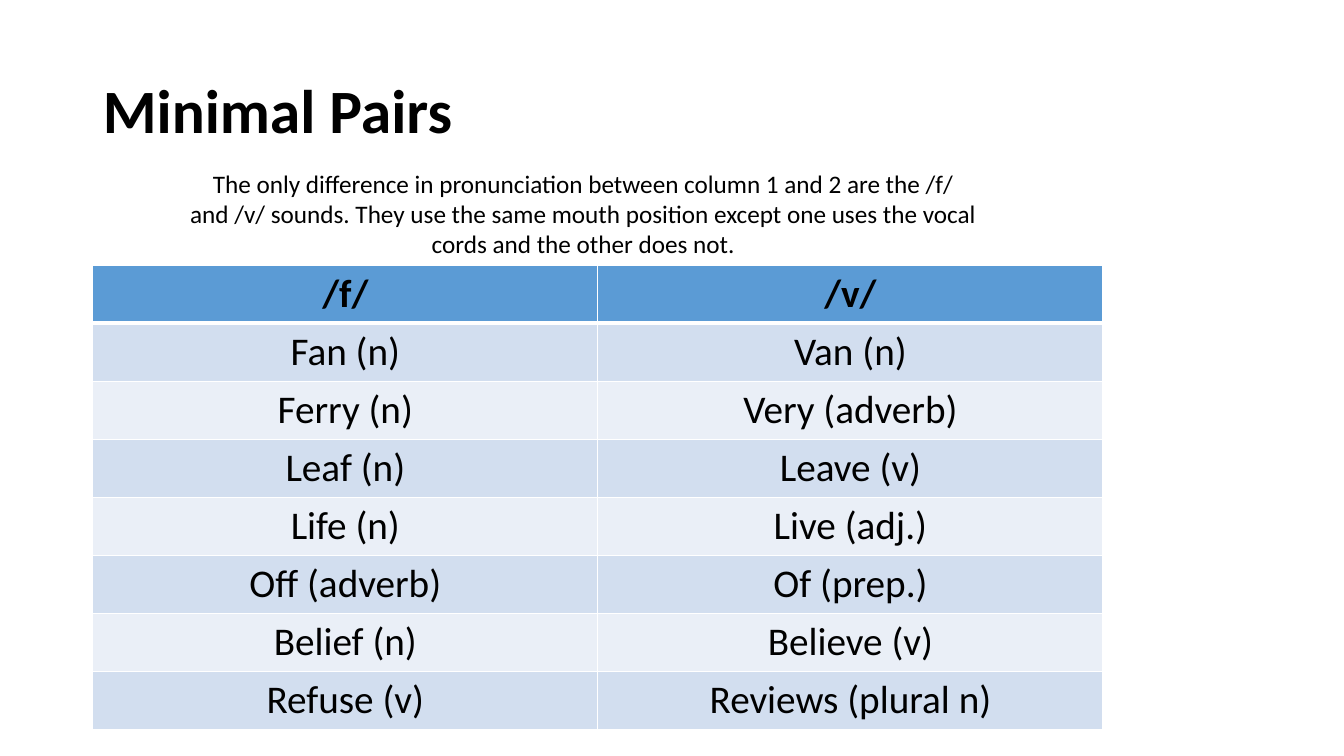
from lxml import etree
from pptx import Presentation
from pptx import util as u
from pptx.dml.color import RGBColor
from pptx.enum import text
from pptx.oxml.ns import qn

# Content
TITLE = "Minimal Pairs"
NOTE = ("The only difference in pronunciation between column 1 and 2 are the /f/ "
        "and /v/ sounds. They use the same mouth position except one uses the "
        "vocal cords and the other does not.")
PAIRS = [
    ("/f/", "/v/"),
    ("Fan (n)", "Van (n)"),
    ("Ferry (n)", "Very (adverb)"),
    ("Leaf (n)", "Leave (v)"),
    ("Life (n)", "Live (adj.)"),
    ("Off (adverb)", "Of (prep.)"),
    ("Belief (n)", "Believe (v)"),
    ("Refuse (v)", "Reviews (plural n)"),
]

# Format and layout, in inches and points
COLORS = {"text": "000000", "border": "FFFFFF", "header": "5B9BD5",
          "odd": "D2DEEF", "even": "EAEFF7"}
FONTS = {
    "title": {"size": u.Pt(44), "bold": True},
    "note": {"size": u.Pt(18), "bold": False},
    "header": {"size": u.Pt(28), "bold": True},
    "word": {"size": u.Pt(28), "bold": False},
}
SLIDE = (13.33, 7.5)
TITLE_BOX = (0.92, 0.4, 11.5, 1.45)
NOTE_BOX = (1.73, 1.62, 8.11, 1.01)
LEFT, TOP, COL_W, HEADER_H, ROW_H = 0.92, 2.63, 5.01, 0.54, 0.57


def inches(values):
    return [u.Inches(v) for v in values]


def write(tf, words, style, align):
    p = tf.paragraphs[0]
    p.alignment = align
    r = p.add_run()
    r.text = words
    r.font.name = "Calibri"
    r.font.color.rgb = RGBColor.from_string(COLORS["text"])
    for name, value in FONTS[style].items():
        setattr(r.font, name, value)
    return p


def add_borders(cell, widths):
    tc_pr = cell._tc.get_or_add_tcPr()
    for i, (side, width) in enumerate(widths.items()):
        line = etree.Element(qn("a:ln" + side), w=str(u.Pt(width)))
        fill = etree.SubElement(line, qn("a:solidFill"))
        etree.SubElement(fill, qn("a:srgbClr"), val=COLORS["border"])
        tc_pr.insert(i, line)


prs = Presentation()
prs.slide_width, prs.slide_height = inches(SLIDE)
s = prs.slides.add_slide(prs.slide_layouts[5])

# Title
title = s.shapes.title
title.left, title.top, title.width, title.height = inches(TITLE_BOX)
title.text_frame.vertical_anchor = text.MSO_ANCHOR.MIDDLE
p = write(title.text_frame, TITLE, "title", text.PP_ALIGN.LEFT)
p.line_spacing = 0.9

# Table of word pairs
rows, cols = len(PAIRS), len(PAIRS[0])
height = HEADER_H + ROW_H * (rows - 1)
table = s.shapes.add_table(
    rows, cols, *inches((LEFT, TOP, COL_W * cols, height))).table
for col in table.columns:
    col.width = u.Inches(COL_W)
for i, pair in enumerate(PAIRS):
    table.rows[i].height = u.Inches(ROW_H if i else HEADER_H)
    band = "header" if i == 0 else "odd" if i % 2 else "even"
    for j, word in enumerate(pair):
        cell = table.cell(i, j)
        write(cell.text_frame, word, "word" if i else "header",
              text.PP_ALIGN.CENTER)
        cell.fill.solid()
        cell.fill.fore_color.rgb = RGBColor.from_string(COLORS[band])
        add_borders(cell, {"L": 1, "R": 1, "T": 3 if i == 1 else 1,
                           "B": 1 if i else 3})

# Explanation above the table
tf = s.shapes.add_textbox(*inches(NOTE_BOX)).text_frame
tf.word_wrap = True
tf.auto_size = text.MSO_AUTO_SIZE.SHAPE_TO_FIT_TEXT
write(tf, NOTE, "note", text.PP_ALIGN.CENTER)

prs.save("out.pptx")
